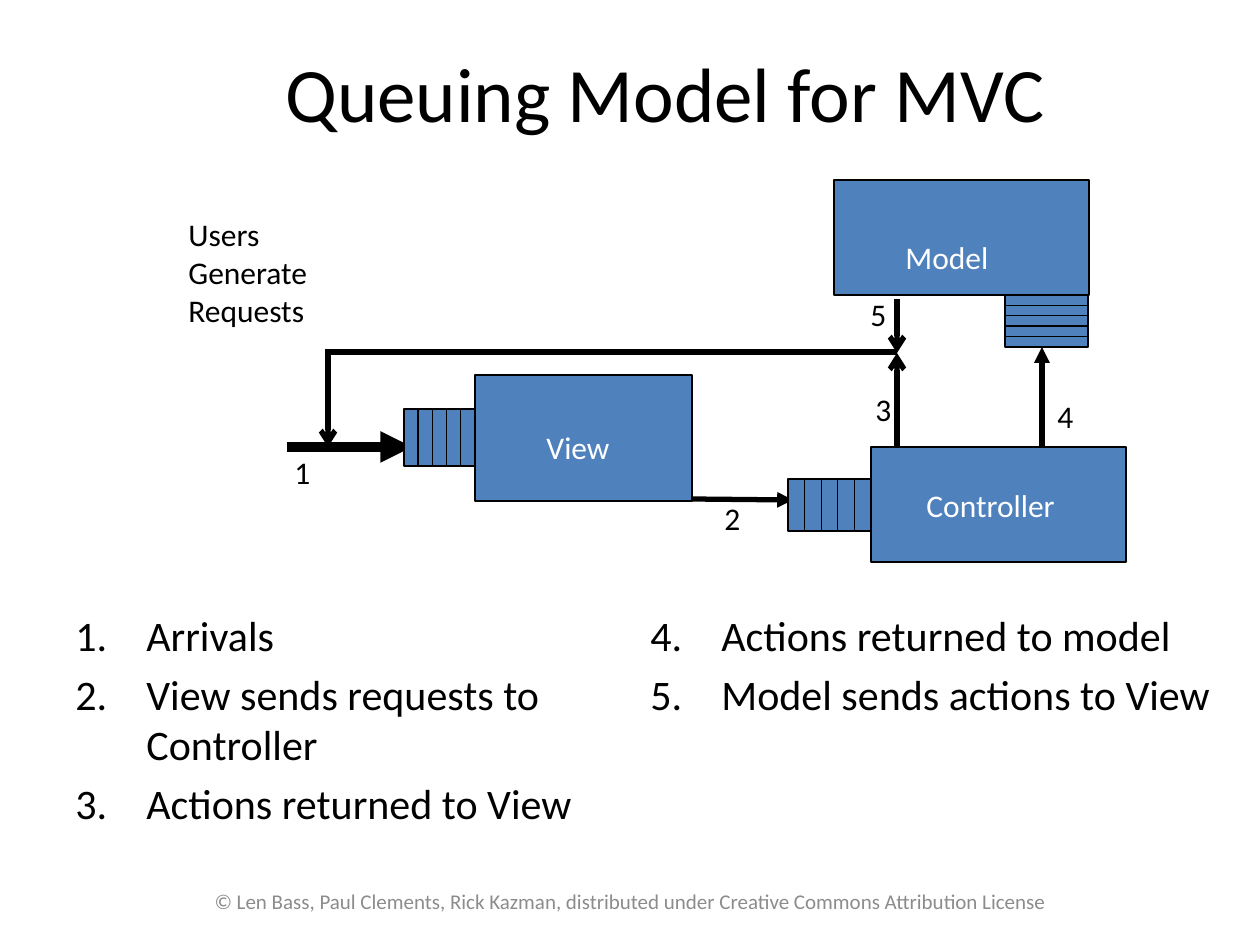
from lxml import etree
from pptx import Presentation
from pptx import util as u
from pptx.dml.color import RGBColor
from pptx.enum import shapes, text
from pptx.oxml.ns import qn

SCALE = 914400 / 126  # EMU in one px
BLACK, WHITE, GREY, BLUE = "000000", "FFFFFF", "8C8C8C", "4F81BD"
FONT = "Calibri"


def px(*lengths):
    return [round(length * SCALE) for length in lengths]


def color(value):
    return RGBColor.from_string(value)


def format_paragraph(paragraph, size, fill, align=text.PP_ALIGN.LEFT):
    paragraph.alignment = align
    paragraph.font.name = FONT
    paragraph.font.size = u.Pt(size)
    paragraph.font.color.rgb = color(fill)


def add_text(slide, box, words, size=18, fill=BLACK, wrap=True,
             align=text.PP_ALIGN.LEFT, anchor=text.MSO_ANCHOR.TOP):
    frame = slide.shapes.add_textbox(*px(*box)).text_frame
    frame.word_wrap = wrap
    frame.vertical_anchor = anchor
    frame.text = words
    for paragraph in frame.paragraphs:
        format_paragraph(paragraph, size, fill, align)
    return frame


def add_block(slide, box):
    block = slide.shapes.add_shape(shapes.MSO_SHAPE.RECTANGLE, *px(*box))
    block.shadow.inherit = False
    block.fill.solid()
    block.fill.fore_color.rgb = color(BLUE)
    block.line.color.rgb = color(BLACK)
    block.line.width = u.Pt(0.75)


def add_line(slide, start, end, width=3, head=None):
    line = slide.shapes.add_connector(
        shapes.MSO_CONNECTOR.STRAIGHT, *px(*start, *end))
    line.line.color.rgb = color(BLACK)
    line.line.width = u.Pt(width)
    if head:
        etree.SubElement(line.line._get_or_add_ln(), qn("a:tailEnd"), type=head)
    etree.SubElement(line._element.spPr, qn("a:effectLst"))


def add_queue(slide, box, slots=5, stacked=False):
    """Split the box into equal slots, side by side or stacked."""
    left, top, width, height = box
    for slot in range(slots):
        if stacked:
            step = height / slots
            add_block(slide, (left, top + slot * step, width, step))
        else:
            step = width / slots
            add_block(slide, (left + slot * step, top, step, height))


def add_component(slide, box, name, name_box):
    """Draw a block with its name, placed relative to the block."""
    left, top = box[:2]
    add_block(slide, box)
    dx, dy, width, height = name_box
    add_text(slide, (left + dx, top + dy, width, height), name, fill=WHITE)


def add_title(slide, box, words):
    title = slide.shapes.title
    title.left, title.top, title.width, title.height = px(*box)
    title.text_frame.text = words
    title.text_frame.vertical_anchor = text.MSO_ANCHOR.MIDDLE
    format_paragraph(title.text_frame.paragraphs[0], 44, BLACK,
                     text.PP_ALIGN.CENTER)


def add_diagram(slide, box):
    left, top, width, height = box

    def at(x, y):
        return left + x, top + y

    # Flows between the components
    add_line(slide, at(111, 267), at(236, 267), 6, "triangle")
    add_line(slide, at(516, 319), at(617, 320), head="triangle")
    add_line(slide, at(866, 267), at(866, 167), head="triangle")
    join, turn = at(721, 173), at(152, 172)
    add_line(slide, at(721, 172), turn)
    add_line(slide, at(721, 267), join, head="arrow")
    add_line(slide, at(721, 119), join, head="arrow")
    add_line(slide, at(152, 169), at(152, 267), head="arrow")

    # Queues in front of the components
    add_queue(slide, (*at(228, 229), 71, 57))
    add_queue(slide, (*at(612, 299), 83, 52))
    add_queue(slide, (*at(829, 115), 83, 52), stacked=True)

    # Components
    add_component(slide, (*at(299, 195), 217, 126), "View", (59, 47, 97, 31))
    add_component(slide, (*at(695, 267), 255, 115), "Controller",
                  (43, 33, 181, 31))
    add_component(slide, (*at(658, 0), 255, 115), "Model", (59, 52, 121, 31))

    # Source of the requests and flow numbers
    add_text(slide, (*at(0, 29), 148, 165), "Users Generate Requests")
    numbers = {"1": (106, 267), "2": (536, 313), "3": (687, 204),
               "4": (869, 211), "5": (682, 109)}
    for number, place in numbers.items():
        add_text(slide, (*at(*place), 40, 31), number, wrap=False)


def add_numbered_list(slide, box, items, start=1):
    frame = add_text(slide, box, "\n".join(items), size=24)
    indent = px(71)[0]
    for index, paragraph in enumerate(frame.paragraphs):
        properties = paragraph._p.get_or_add_pPr()
        properties.set("marL", str(indent))
        properties.set("indent", str(-indent))
        numbering = etree.Element(qn("a:buAutoNum"), type="arabicPeriod",
                                  startAt=str(start))
        properties.insert(0, numbering)
        if index:
            paragraph.space_before = u.Pt(4.8)


def main():
    presentation = Presentation()
    presentation.slide_width, presentation.slide_height = px(1260, 945)
    slide = presentation.slides.add_slide(presentation.slide_layouts[5])

    add_title(slide, (134, 38, 1063, 107), "Queuing Model for MVC")
    add_diagram(slide, (176, 180, 950, 382))
    add_numbered_list(slide, (63, 603, 588, 243), [
        "Arrivals", "View sends requests to Controller",
        "Actions returned to View"])
    add_numbered_list(slide, (638, 603, 588, 243), [
        "Actions returned to model", "Model sends actions to View"], start=4)
    add_text(slide, (194, 876, 873, 50),
             "© Len Bass, Paul Clements, Rick Kazman, distributed under "
             "Creative Commons Attribution License", 12, GREY,
             align=text.PP_ALIGN.CENTER, anchor=text.MSO_ANCHOR.MIDDLE)

    presentation.save("out.pptx")


if __name__ == "__main__":
    main()
